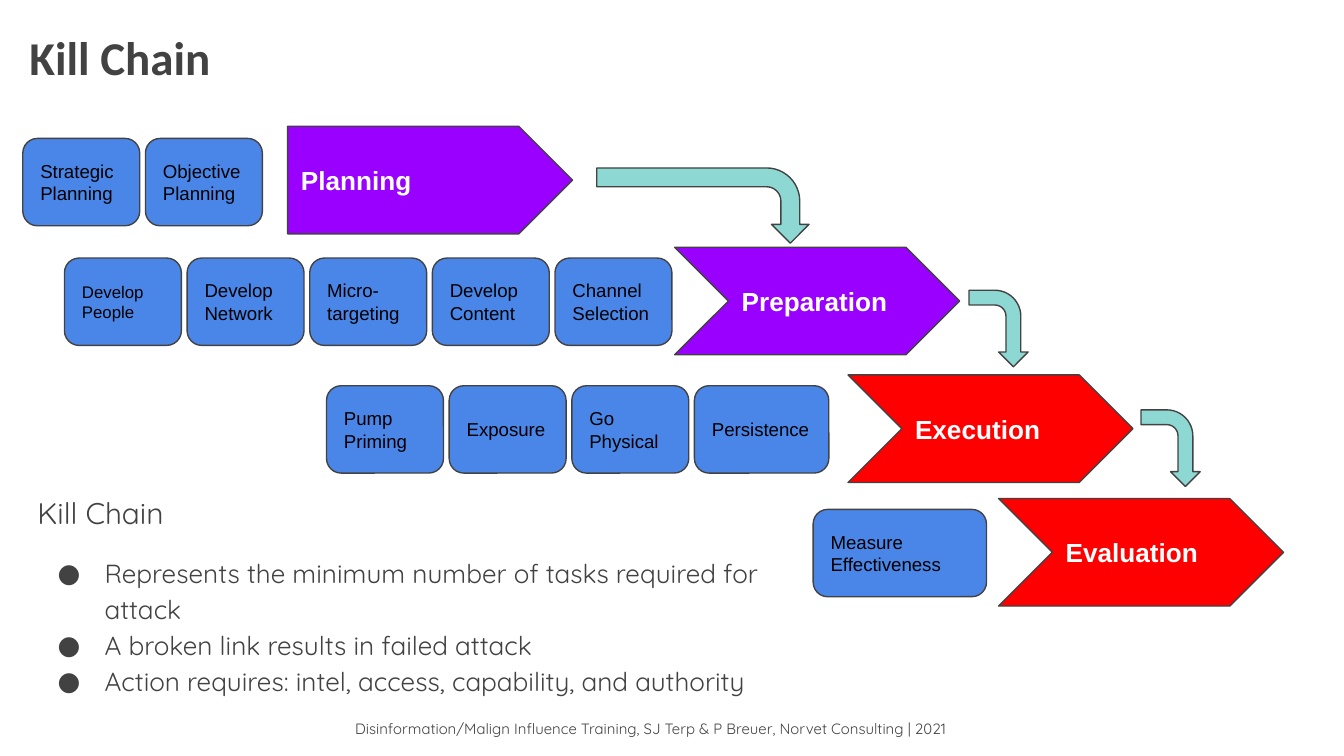
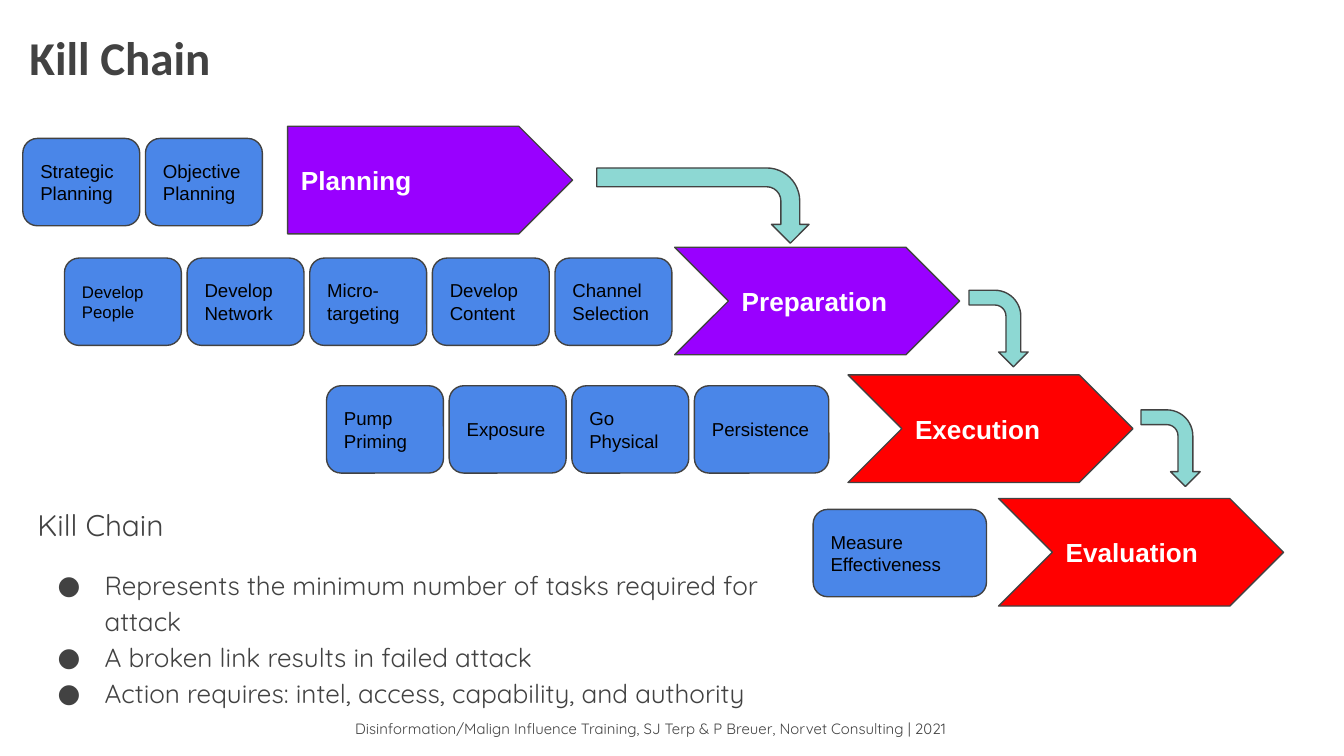
from lxml import etree
from pptx import Presentation
from pptx.dml.color import RGBColor
from pptx.enum import shapes, text
from pptx.oxml import ns
from pptx.util import Inches, Pt

# Shared look
INK, BLACK, WHITE = "424242", "000000", "FFFFFF"
BLUE, PURPLE, RED, TEAL = "4A86E8", "9900FF", "FF0000", "8DD8D3"
HEAD, BODY, LABEL = "Calibri", "Quicksand", "Arial"
KIND = shapes.MSO_SHAPE
WIDE = 10
HIGH = WIDE * 9 / 16

TITLE = "Kill Chain"
FOOTER = ("Disinformation/Malign Influence Training, SJ Terp & P Breuer, "
          "Norvet Consulting | 2021")
POINTS = [
    "Represents the minimum number of tasks required for attack",
    "A broken link results in failed attack",
    "Action requires: intel, access, capability, and authority",
]

# Tasks: size and pitch (five fill one row); tags: size
TASK_W, TASK_H, PITCH = 0.87, 0.65, 3.65 / 4
TAG_W, TAG_H = 2.12, 0.8

# Phase: name, outline, fill, tag left and top, first task left and top,
# tasks, width of the last task, arrow (offset from the tag, then size)
PHASES = [
    ("Planning", KIND.PENTAGON, PURPLE, (2.14, 0.94), (0.17, 1.03),
     ["Strategic Planning", "Objective\nPlanning"],
     TASK_W, (2.3, 0.31, 1.58, 0.56)),
    ("Preparation", KIND.CHEVRON, PURPLE, (5.02, 1.84), (0.48, 1.92),
     ["Develop\nPeople", "Develop\nNetwork", "Micro-\ntargeting",
      "Develop\nContent", "Channel Selection"],
     TASK_W, (2.19, 0.32, 0.44, 0.57)),
    ("Execution", KIND.CHEVRON, RED, (6.31, 2.79), (2.43, 2.87),
     ["Pump Priming", "Exposure", "Go Physical", "Persistence"],
     1, (2.18, 0.26, 0.44, 0.57)),
    ("Evaluation", KIND.CHEVRON, RED, (7.43, 3.71), (6.05, 3.79),
     ["Measure Effectiveness"], 1.29, None),
]
SMALL = {"Develop\nPeople": 9}


def color(code):
    return RGBColor.from_string(code)


def write(para, words, size, face, ink, bold=False):
    """Add the words as runs, with a line break at each newline."""
    for n, part in enumerate(words.split("\n")):
        if n:
            para.add_line_break()
        run = para.add_run()
        run.text = part
        font = run.font
        font.size, font.name, font.bold = Pt(size), face, bold
        font.color.rgb = color(ink)


def pad(frame, anchor):
    frame.word_wrap = True
    frame.vertical_anchor = anchor
    frame.margin_left = frame.margin_right = Inches(0.1)
    frame.margin_top = frame.margin_bottom = Inches(0.1)


def add_text(slide, box):
    frame = slide.shapes.add_textbox(*map(Inches, box)).text_frame
    pad(frame, text.MSO_ANCHOR.TOP)
    return frame


def add_form(slide, kind, box, fill):
    form = slide.shapes.add_shape(kind, *map(Inches, box))
    form.shadow.inherit = False
    form.fill.solid()
    form.fill.fore_color.rgb = color(fill)
    form.line.color.rgb = color(INK)
    form.line.width = Pt(0.75)
    return form


def add_label(slide, kind, box, fill, words, size, ink, bold=False):
    frame = add_form(slide, kind, box, fill).text_frame
    pad(frame, text.MSO_ANCHOR.MIDDLE)
    para = frame.paragraphs[0]
    para.alignment = text.PP_ALIGN.LEFT
    write(para, words, size, LABEL, ink, bold)


def add_bullet(para, size):
    props = para._p.get_or_add_pPr()
    props.set("marL", str(Inches(0.5)))
    props.set("indent", str(Inches(-0.35)))
    tint = etree.SubElement(props, ns.qn("a:buClr"))
    etree.SubElement(tint, ns.qn("a:srgbClr")).set("val", INK)
    for tag, key, value in (("a:buSzPts", "val", str(size * 100)),
                            ("a:buFont", "typeface", BODY),
                            ("a:buChar", "char", "●")):
        etree.SubElement(props, ns.qn(tag)).set(key, value)


def add_frame(slide):
    # Title and footer
    write(add_text(slide, (0.12, 0.11, 8.99, 0.65)).paragraphs[0],
          TITLE, 25.2, HEAD, INK, True)
    foot = add_text(slide, (1.72, 5.29, 6.25, 0.34)).paragraphs[0]
    foot.alignment = text.PP_ALIGN.CENTER
    write(foot, FOOTER, 8, BODY, INK)


def add_notes(slide, box):
    # Heading with bullet points
    frame = add_text(slide, box)
    lead = frame.paragraphs[0]
    lead.line_spacing = 1.15
    write(lead, TITLE, 16, BODY, INK)
    for n, point in enumerate(POINTS):
        para = frame.add_paragraph()
        add_bullet(para, 14)
        para.line_spacing = 1.15
        para.space_before = Pt(0 if n else 12)
        write(para, point, 14, BODY, INK)


def add_arrow(slide, box):
    # The box is the visible one; the shape inside is turned a quarter
    left, top, wide, high = box
    shift = (wide - high) / 2
    arrow = add_form(slide, KIND.BENT_ARROW,
                     (left + shift, top - shift, high, wide), TEAL)
    arrow.rotation = 90
    arrow.adjustments[3] = 0.44


def add_phase(slide, name, kind, fill, tag, start, tasks, last, arrow):
    # Tasks
    left, top = start
    for n, task in enumerate(tasks):
        wide = last if n == len(tasks) - 1 else TASK_W
        add_label(slide, KIND.ROUNDED_RECTANGLE,
                  (left + n * PITCH, top, wide, TASK_H),
                  BLUE, task, SMALL.get(task, 10), BLACK)
    # Tag
    left, top = tag
    add_label(slide, kind, (left, top, TAG_W, TAG_H),
              fill, name, 14, WHITE, True)
    # Arrow to the next phase
    if arrow:
        dx, dy, wide, high = arrow
        add_arrow(slide, (left + dx, top + dy, wide, high))


def add_chain(deck, top):
    slide = deck.slides.add_slide(deck.slide_layouts[6])
    add_frame(slide)
    add_notes(slide, (0.18, top, 5.87, 1.94))
    for phase in PHASES:
        add_phase(slide, *phase)


def main():
    deck = Presentation()
    deck.slide_width, deck.slide_height = Inches(WIDE), Inches(HIGH)
    for top in (3.54, 3.63):
        add_chain(deck, top)
    deck.save("out.pptx")


if __name__ == "__main__":
    main()
